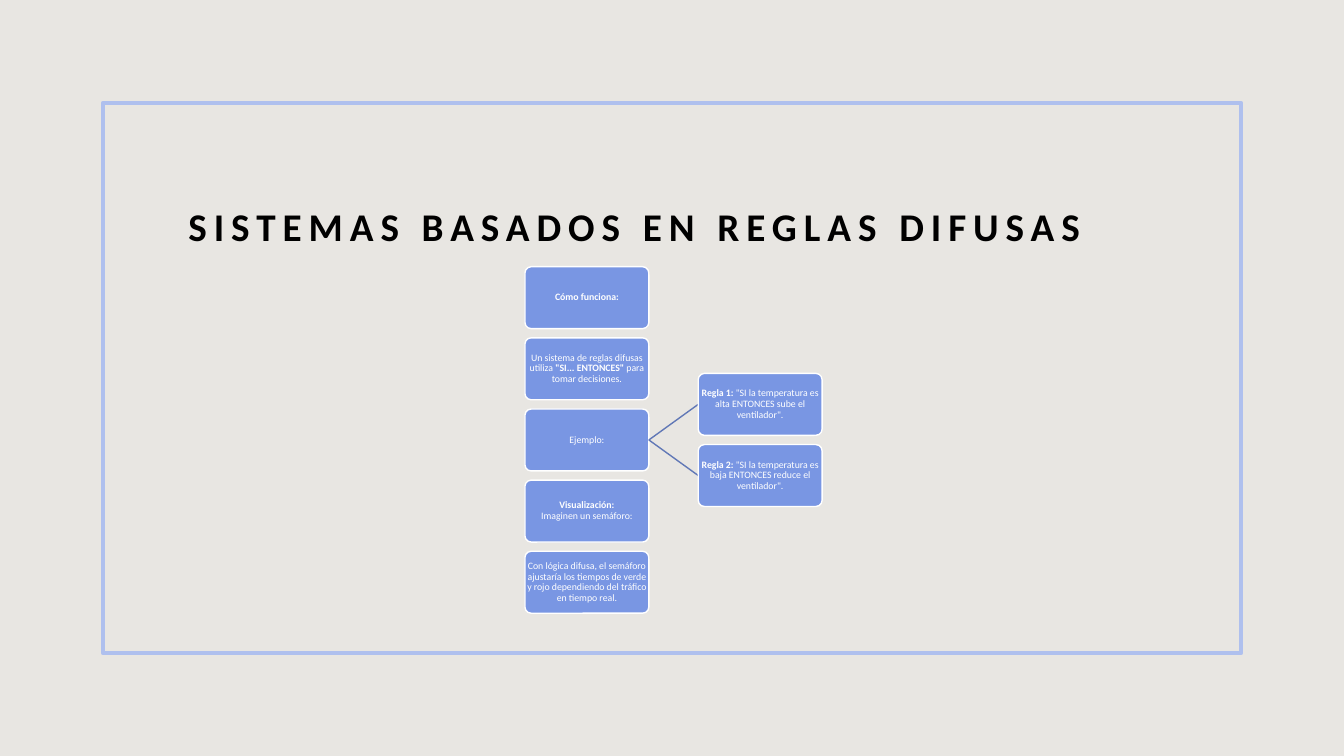
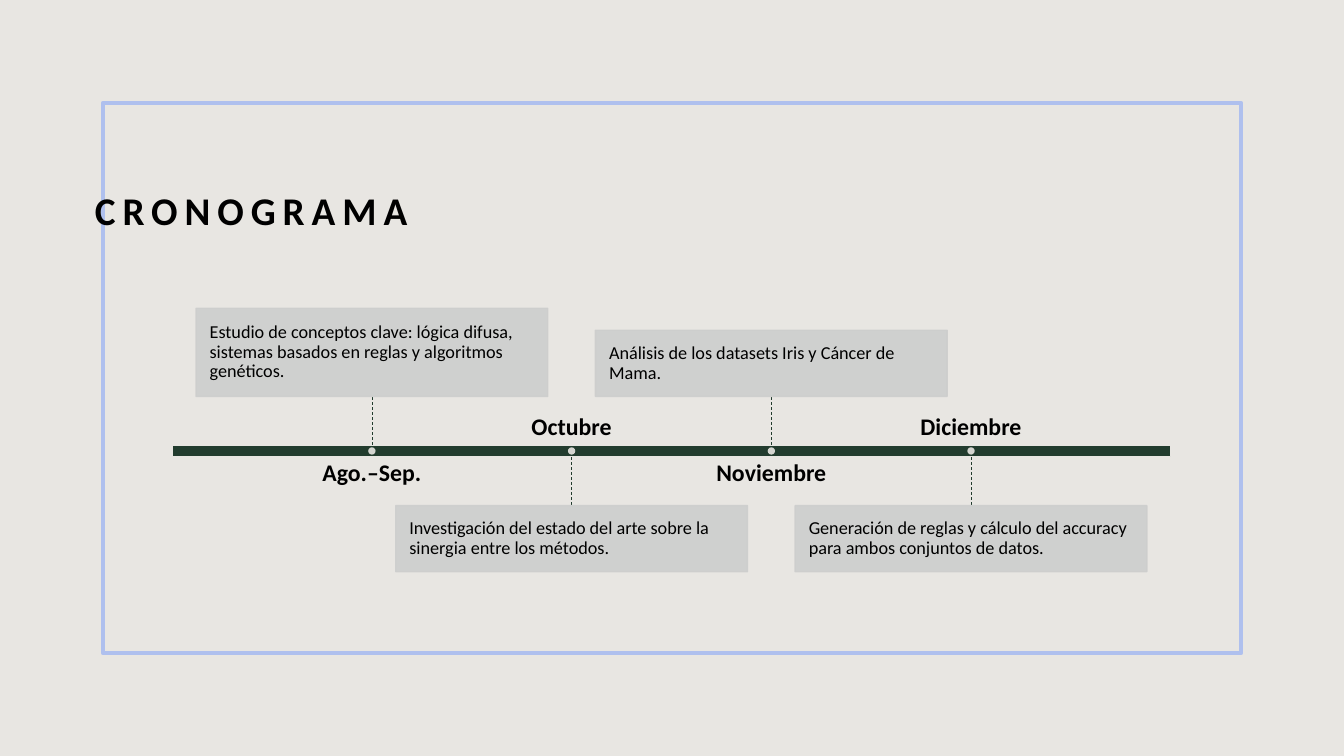
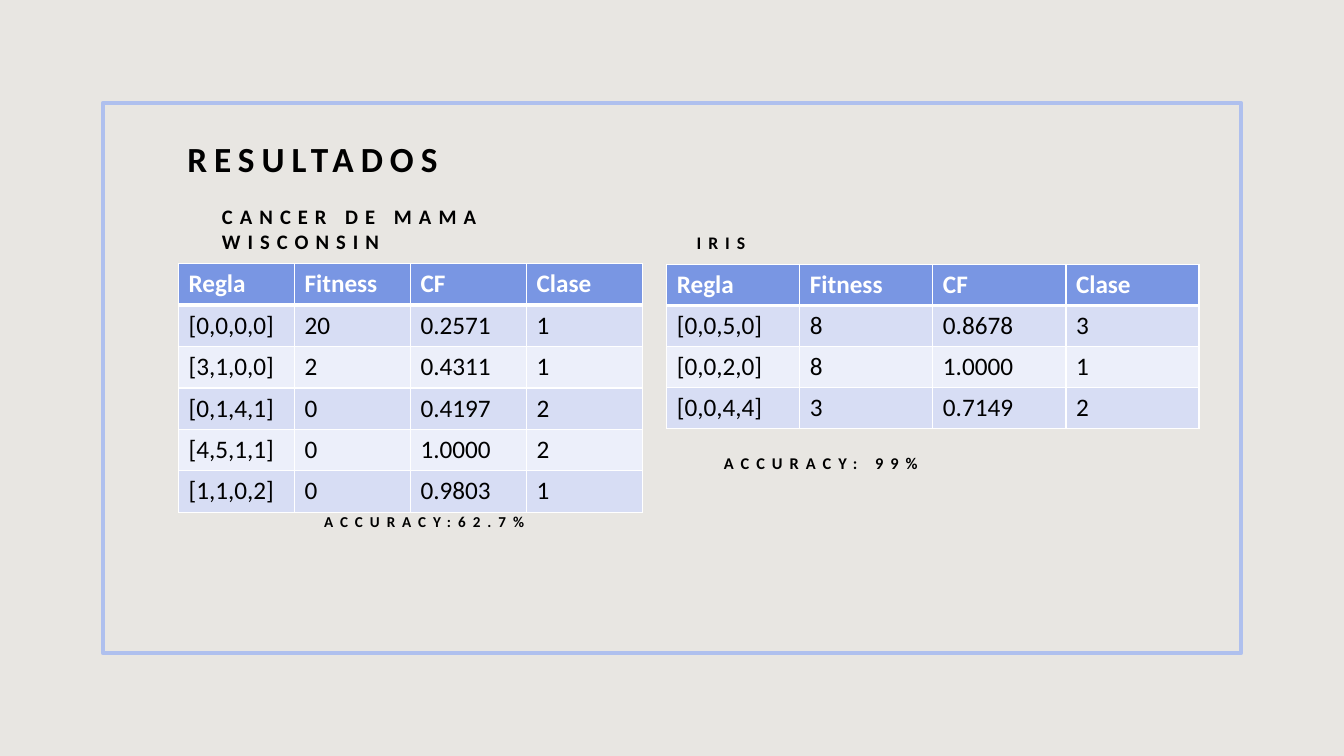
from dataclasses import dataclass

from lxml.etree import SubElement
from pptx import Presentation
from pptx.dml.color import RGBColor
from pptx.enum.dml import MSO_LINE
from pptx.enum.shapes import MSO_CONNECTOR, MSO_SHAPE
from pptx.enum.text import MSO_ANCHOR, PP_ALIGN
from pptx.oxml.ns import qn
from pptx.util import Emu, Pt

EMU_PER_PX = 9525


@dataclass(frozen=True)
class Theme:
    """Colours and type sizes of the deck."""

    font: str = "Calibri"
    paper: str = "E8E6E2"
    frame: str = "AFC0EE"
    ink: str = "000000"
    white: str = "FFFFFF"
    accent: str = "7996E3"
    branch: str = "6178B6"
    axis: str = "223C2E"
    card: str = "CDCECD"
    bands: tuple = ("D7DDF4", "ECEFFA")
    title_size: float = 28
    results_size: float = 25.2
    table_size: float = 18
    month_size: float = 17
    card_size: float = 13
    node_size: float = 7
    tracking: int = 5
    opacity: int = 90


THEME = Theme()


def px(length):
    """Turn pixels into EMU."""
    return Emu(round(length * EMU_PER_PX))


def paint(fill, color, opacity=100):
    """Fill with a solid colour, translucent if asked."""
    fill.solid()
    fill.fore_color.rgb = RGBColor.from_string(color)
    if opacity < 100:
        for node in fill._xPr.iter(qn("a:srgbClr")):
            if node.getparent().getparent() is fill._xPr:
                SubElement(node, qn("a:alpha"), val=str(opacity * 1000))


def add_text(frame, spans, size, color=THEME.ink, align=PP_ALIGN.LEFT,
             anchor=MSO_ANCHOR.MIDDLE, spacing=0.9, inset=0, tracking=0):
    """Write (text, bold) spans as one paragraph; a newline span breaks the line."""
    frame.word_wrap = True
    frame.vertical_anchor = anchor
    if inset is not None:
        frame.margin_left = frame.margin_right = px(inset)
        frame.margin_top = frame.margin_bottom = px(inset)
    para = frame.paragraphs[0]
    para.alignment = align
    para.line_spacing = spacing
    for text, bold in spans:
        if text == "\n":
            para.add_line_break()
            continue
        span = para.add_run()
        span.text = text
        span.font.name = THEME.font
        span.font.size = Pt(size)
        span.font.bold = bold
        span.font.color.rgb = RGBColor.from_string(color)
        if tracking:
            span.font._element.set("spc", str(tracking * 100))


def add_box(page, kind, box, fill=None, line=None, width=1, opacity=100):
    """Draw a preset shape without shadow."""
    shape = page.shapes.add_shape(kind, *map(px, box))
    shape.shadow.inherit = False
    if fill:
        paint(shape.fill, fill, opacity)
    else:
        shape.fill.background()
    if line:
        shape.line.width = Pt(width)
        paint(shape.line.fill, line, opacity)
    else:
        shape.line.fill.background()
    return shape


def add_line(page, start, end, color, width, dash=None):
    """Draw a straight connector without shadow."""
    line = page.shapes.add_connector(
        MSO_CONNECTOR.STRAIGHT, *map(px, (*start, *end)))
    line.line.color.rgb = RGBColor.from_string(color)
    line.line.width = Pt(width)
    if dash:
        line.line.dash_style = dash
    SubElement(line._element.spPr, qn("a:effectLst"))


def add_heading(page, box, text, size=THEME.title_size,
                anchor=MSO_ANCHOR.BOTTOM, spacing=1.2, align=PP_ALIGN.LEFT):
    """Add a bold heading with spaced letters."""
    area = page.shapes.add_textbox(*map(px, box))
    add_text(area.text_frame, [(text, True)], size, align=align, anchor=anchor,
             spacing=spacing, inset=None, tracking=THEME.tracking)


def add_page(deck):
    """Add a blank page with the shared frame."""
    page = deck.slides.add_slide(deck.slide_layouts[6])
    add_box(page, MSO_SHAPE.RECTANGLE, (98, 98, 1084, 524),
            line=THEME.frame, width=3)
    return page


def add_node(page, left, top, width, height, spans):
    """Draw one rounded node of the tree."""
    node = add_box(page, MSO_SHAPE.ROUNDED_RECTANGLE, (left, top, width, height),
                   THEME.accent, THEME.white)
    node.adjustments[0] = 0.1
    add_text(node.text_frame, spans, THEME.node_size, THEME.white, PP_ALIGN.CENTER)


def add_tree(page, box, roots, parent, children):
    """Stack the roots and branch the children out of one of them."""
    left, top, width, height = box
    node_width, node_height = 118, 59
    pitch = (height - node_height) / (len(roots) - 1)
    for index, spans in enumerate(roots):
        add_node(page, left, top + index * pitch, node_width, node_height, spans)
    child_left = left + width - node_width
    middle = top + parent * pitch + node_height / 2
    for index, spans in enumerate(children):
        offset = (index - (len(children) - 1) / 2) * pitch
        add_line(page, (left + node_width, middle), (child_left, middle + offset),
                 THEME.branch, 1)
        add_node(page, child_left, middle + offset - node_height / 2,
                 node_width, node_height, spans)


def add_timeline(page, box, milestones):
    """Draw the axis with cards alternately above and below."""
    left, top, width, height = box
    middle = top + height / 2
    pitch = width / (len(milestones) + 1)
    reach, card_width, month_width, month_height, dot = 52, 335, 304, 31, 7
    add_box(page, MSO_SHAPE.RECTANGLE, box, THEME.axis, THEME.paper)
    for index, (month, task, card_height) in enumerate(milestones):
        center = left + pitch * (index + 1)
        above = index % 2 == 0
        side = -1 if above else 1
        card_top = middle - reach - card_height if above else middle + reach
        month_top = middle + 10 if above else middle - 10 - month_height
        add_line(page, (center, middle + side * 6), (center, middle + side * reach),
                 THEME.axis, 0.5, MSO_LINE.DASH)
        card = add_box(page, MSO_SHAPE.RECTANGLE,
                       (center - card_width / 2, card_top, card_width, card_height),
                       THEME.card, THEME.card, opacity=THEME.opacity)
        add_text(card.text_frame, [(task, False)], THEME.card_size, inset=13)
        label = page.shapes.add_textbox(*map(px, (
            center - month_width / 2, month_top, month_width, month_height)))
        add_text(label.text_frame, [(month, True)], THEME.month_size,
                 align=PP_ALIGN.CENTER,
                 anchor=MSO_ANCHOR.TOP if above else MSO_ANCHOR.BOTTOM)
        add_box(page, MSO_SHAPE.OVAL, (center - dot / 2, middle - dot / 2, dot, dot),
                THEME.paper, opacity=THEME.opacity)


def style_cell(cell, text, header, fill):
    """Write one cell with white borders."""
    properties = cell._tc.get_or_add_tcPr()
    for side in ("lnL", "lnR", "lnT", "lnB"):
        points = 3 if header and side == "lnB" else 1
        border = SubElement(properties, qn(f"a:{side}"), w=str(Pt(points)))
        solid = SubElement(border, qn("a:solidFill"))
        SubElement(solid, qn("a:srgbClr"), val=THEME.white)
    paint(cell.fill, fill)
    add_text(cell.text_frame, [(text, header)], THEME.table_size,
             THEME.white if header else THEME.ink, anchor=MSO_ANCHOR.TOP,
             spacing=1.0, inset=None)


def add_rules(page, box, rules):
    """Draw a table of rules under a header row."""
    rows = [("Regla", "Fitness", "CF", "Clase"), *rules]
    columns = len(rows[0])
    table = page.shapes.add_table(len(rows), columns, *map(px, box)).table
    table.horz_banding = False
    for column in table.columns:
        column.width = px(box[2] / columns)
    for index, values in enumerate(rows):
        table.rows[index].height = px(box[3] / len(rows))
        header = index == 0
        fill = THEME.accent if header else THEME.bands[(index - 1) % 2]
        for position, text in enumerate(values):
            style_cell(table.cell(index, position), text, header, fill)


def build_rules_page(deck):
    """Build the page on fuzzy rule systems."""
    page = add_page(deck)
    add_heading(page, (170, 130, 943, 112), "SISTEMAS BASADOS EN REGLAS DIFUSAS")
    roots = [
        [("Cómo funciona:", True)],
        [("Un sistema de reglas difusas utiliza ", False),
         ('"SI... ENTONCES"', True), (" para tomar decisiones.", False)],
        [("Ejemplo:", False)],
        [("Visualización:", True), ("\n", False), ("Imaginen un semáforo:", False)],
        [("Con lógica difusa, el semáforo ajustaría los tiempos de verde y rojo "
          "dependiendo del tráfico en tiempo real.", False)],
    ]
    children = [
        [("Regla 1:", True),
         (' "SI la temperatura es alta ENTONCES sube el ventilador".', False)],
        [("Regla 2:", True),
         (' "SI la temperatura es baja ENTONCES reduce el ventilador".', False)],
    ]
    add_tree(page, (500, 254, 283, 330), roots, 2, children)


def build_schedule_page(deck):
    """Build the schedule page."""
    page = add_page(deck)
    add_heading(page, (81, 136, 800, 118), "CRONOGRAMA", anchor=MSO_ANCHOR.MIDDLE)
    add_timeline(page, (164, 424, 951, 11), [
        ("Ago.–Sep.", "Estudio de conceptos clave: lógica difusa, sistemas "
         "basados en reglas y algoritmos genéticos.", 84),
        ("Octubre", "Investigación del estado del arte sobre la sinergia "
         "entre los métodos.", 63),
        ("Noviembre", "Análisis de los datasets Iris y Cáncer de Mama.", 63),
        ("Diciembre", "Generación de reglas y cálculo del accuracy para ambos "
         "conjuntos de datos.", 63),
    ])


def build_results_page(deck):
    """Build the results page."""
    page = add_page(deck)
    add_heading(page, (169, 129, 852, 47), "RESULTADOS", THEME.results_size)
    add_rules(page, (170, 251, 442, 237), [
        ("[0,0,0,0]", "20", "0.2571", "1"),
        ("[3,1,0,0]", "2", "0.4311", "1"),
        ("[0,1,4,1]", "0", "0.4197", "2"),
        ("[4,5,1,1]", "0", "1.0000", "2"),
        ("[1,1,0,2]", "0", "0.9803", "1"),
    ])
    add_rules(page, (635, 252, 507, 156), [
        ("[0,0,5,0]", "8", "0.8678", "3"),
        ("[0,0,2,0]", "8", "1.0000", "1"),
        ("[0,0,4,4]", "3", "0.7149", "2"),
    ])
    add_heading(page, (654, 212, 403, 34), "IRIS", 12.6, spacing=1.0)
    add_heading(page, (202, 199, 418, 47), "CANCER DE MAMA WISCONSIN", 14.7,
                spacing=1.0)
    add_heading(page, (195, 483, 418, 47), "ACCURACY:62.7%", 10.8,
                MSO_ANCHOR.TOP, 1.0, PP_ALIGN.CENTER)
    add_heading(page, (680, 408, 418, 47), "ACCURACY: 99%", 11.7)


def main():
    """Build and save the deck."""
    deck = Presentation()
    deck.slide_width, deck.slide_height = px(1280), px(720)
    paint(deck.slide_master.background.fill, THEME.paper)
    build_rules_page(deck)
    build_schedule_page(deck)
    build_results_page(deck)
    deck.save("out.pptx")


if __name__ == "__main__":
    main()
